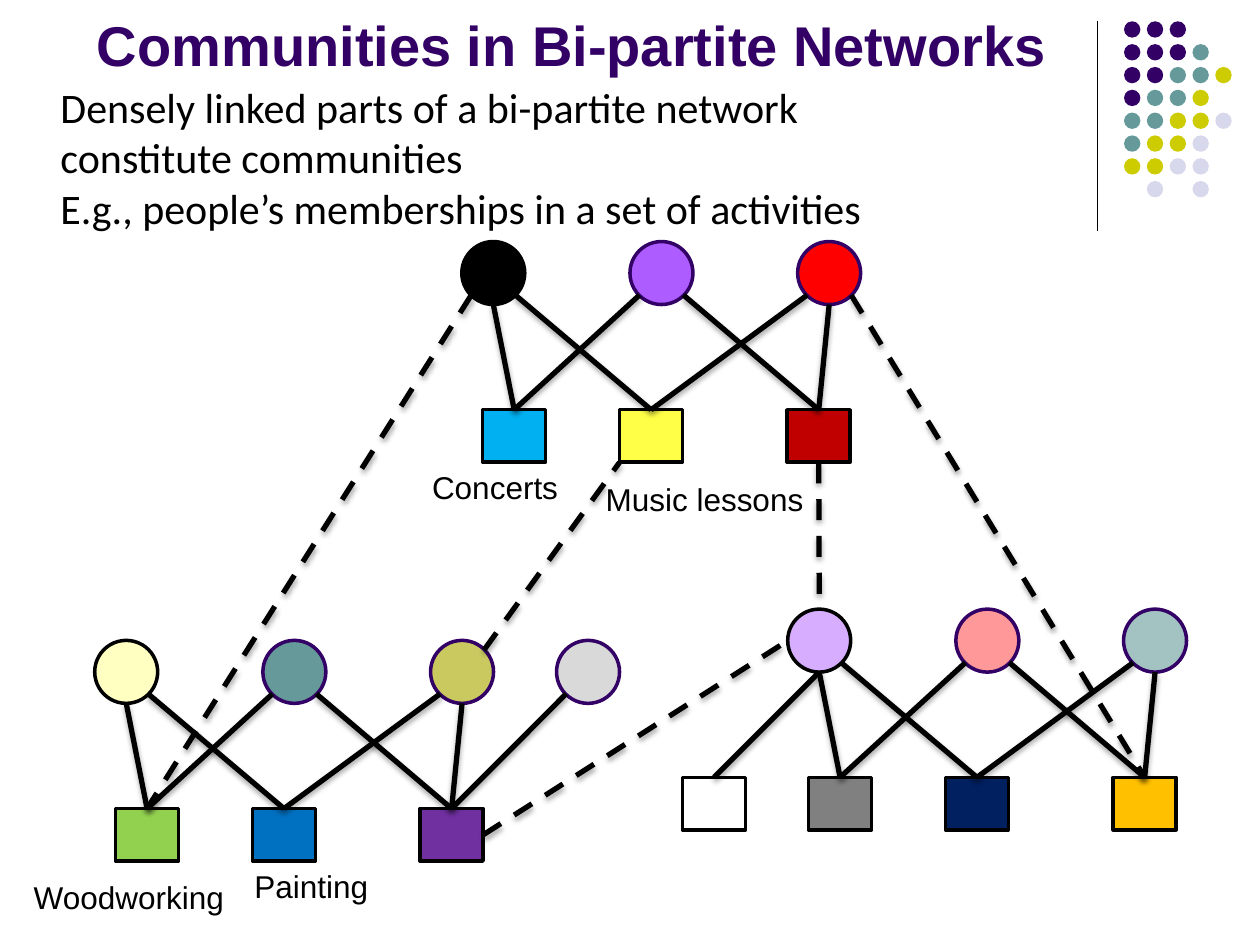
from dataclasses import dataclass
from typing import Optional

from lxml.etree import SubElement
from pptx import Presentation
from pptx.dml.color import RGBColor
from pptx.enum.dml import MSO_LINE
from pptx.enum.shapes import MSO_CONNECTOR, MSO_SHAPE
from pptx.enum.text import MSO_ANCHOR, PP_ALIGN
from pptx.oxml.ns import qn
from pptx.util import Cm, Pt


@dataclass(frozen=True)
class Theme:
    """Colours, fonts and sizes used on the slide."""
    ink: str = "000000"
    accent: str = "330066"
    heading_font: str = "Arial"
    body_font: str = "Calibri"
    title_size: int = 32
    body_size: int = 24
    label_size: int = 18
    outline: float = 2
    edge: float = 3
    rule: float = 0.75


THEME = Theme()
DOT_COLOURS = {"P": "330066", "T": "669999", "Y": "CCCC00", "L": "D8D8EC"}
DOT_ROWS = ["PPP", "PPPT", "PPTTY", "PTTY", "TTYYL", "TYYL", "YYLL", " L L"]
DOT_SIZE, DOT_PITCH = 0.33, 0.46
CIRCLE_SIZE, SQUARE_WIDTH, SQUARE_HEIGHT = 1.27, 1.27, 1.06
CIRCLE_STEPS = (0, 3.39, 6.77)
SQUARE_STEPS = (0.42, 3.18, 6.56)
SQUARE_DROP = 3.39
# Fractions of a node's width and height where edges attach
TOP, BOTTOM, LEFT, RIGHT = (0.5, 0), (0.5, 1), (0, 0.5), (1, 0.5)
LOWER_LEFT, LOWER_RIGHT, UPPER_RIGHT = (0.15, 0.85), (0.85, 0.85), (0.85, 0.15)
CORNER = (0, 1)


@dataclass(frozen=True)
class Node:
    """A person (circle) or an activity (square), in centimetres."""
    left: float
    top: float
    fill: Optional[str]
    line: str = THEME.ink
    person: bool = False

    def site(self, place: tuple) -> tuple:
        """Return the point at a fraction of the node's size."""
        width = CIRCLE_SIZE if self.person else SQUARE_WIDTH
        height = CIRCLE_SIZE if self.person else SQUARE_HEIGHT
        return self.left + width * place[0], self.top + height * place[1]


@dataclass(frozen=True)
class Community:
    """Three people above the three activities they share."""
    left: float
    top: float
    people_fills: tuple
    activity_fills: tuple

    def people(self) -> list:
        """Return the circles; the first has a black outline."""
        return [Node(self.left + step, self.top, fill, THEME.accent if index else THEME.ink, True)
                for index, (step, fill) in enumerate(zip(CIRCLE_STEPS, self.people_fills))]

    def activities(self) -> list:
        """Return the squares, left to right."""
        return [Node(self.left + step, self.top + SQUARE_DROP, fill)
                for step, fill in zip(SQUARE_STEPS, self.activity_fills)]


@dataclass(frozen=True)
class Caption:
    """Lines of text in a box, in centimetres."""
    left: float
    top: float
    width: float
    height: float
    lines: tuple
    font: str = THEME.heading_font
    size: int = THEME.label_size


MUSIC = Community(9.31, 4.87, ("000000", "AD5CFF", "FF0000"), ("00B0F0", "FFFF47", "C00000"))
CRAFTS = Community(1.91, 12.91, ("FFFFC2", "669999", "C9C960"), ("92D050", "0070C0", "7030A0"))
OTHERS = Community(15.88, 12.28, ("D6ADFF", "FF9999", "A3C2C2"), ("808080", "002060", "FFC000"))
GUEST = Node(11.22, 12.91, "D9D9D9", THEME.accent, True)
SPARE = Node(13.76, 15.67, None)
# Person, place on the circle, activity
MEMBERSHIPS = [(0, BOTTOM, 0), (1, LOWER_LEFT, 0), (0, LOWER_RIGHT, 1),
               (2, LOWER_LEFT, 1), (1, LOWER_RIGHT, 2), (2, BOTTOM, 2)]
CAPTIONS = [
    Caption(0.97, 1.52, 16.81, 3.33,
            ("Densely linked parts of a bi-partite network ", "constitute communities",
             "E.g., people’s memberships in a set of activities"),
            THEME.body_font, THEME.body_size),
    Caption(8.46, 9.31, 3.07, 1.02, ("Concerts",)),
    Caption(11.96, 9.55, 4.55, 1.02, ("Music lessons",)),
    Caption(0.43, 17.57, 4.39, 1.02, ("Woodworking",)),
    Caption(4.88, 17.35, 2.82, 1.02, ("Painting",)),
]


def add_span(para, text: str, font: str, size: int, colour: str, bold: bool = False) -> None:
    """Add one formatted run to a paragraph."""
    span = para.add_run()
    span.text = text
    span.font.name, span.font.size, span.font.bold = font, Pt(size), bold
    span.font.color.rgb = RGBColor.from_string(colour)


def draw_shape(page, kind, left: float, top: float, width: float, height: float,
               fill: Optional[str], line: Optional[str] = None) -> None:
    """Draw a flat preset shape with an optional fill and outline."""
    shape = page.shapes.add_shape(kind, Cm(left), Cm(top), Cm(width), Cm(height))
    shape.shadow.inherit = False
    if fill:
        shape.fill.solid()
        shape.fill.fore_color.rgb = RGBColor.from_string(fill)
    else:
        shape.fill.background()
    if line:
        shape.line.color.rgb = RGBColor.from_string(line)
        shape.line.width = Pt(THEME.outline)
    else:
        shape.line.fill.background()


def draw_node(page, node: Node) -> None:
    """Draw a person or an activity."""
    kind = MSO_SHAPE.OVAL if node.person else MSO_SHAPE.RECTANGLE
    height = CIRCLE_SIZE if node.person else SQUARE_HEIGHT
    draw_shape(page, kind, node.left, node.top, SQUARE_WIDTH, height, node.fill, node.line)


def draw_line(page, start: tuple, end: tuple, width: float = THEME.edge,
              dashed: bool = False, shadow: bool = True) -> None:
    """Draw a straight line, with a soft shadow below it if wanted."""
    line = page.shapes.add_connector(MSO_CONNECTOR.STRAIGHT, *(Cm(v) for v in start + end))
    line.line.color.rgb = RGBColor.from_string(THEME.ink)
    line.line.width = Pt(width)
    if dashed:
        line.line.dash_style = MSO_LINE.DASH
    effects = SubElement(line._element.spPr, qn("a:effectLst"))
    if shadow:
        outer = SubElement(effects, qn("a:outerShdw"), blurRad=str(Pt(3.1)), dist=str(Pt(1.8)),
                           dir="5400000", rotWithShape="0")
        colour = SubElement(outer, qn("a:srgbClr"), val=THEME.ink)
        SubElement(colour, qn("a:alpha"), val="35000")


def draw_community(page, community: Community) -> None:
    """Draw the people, activities and memberships of a community."""
    people, activities = community.people(), community.activities()
    for node in people + activities:
        draw_node(page, node)
    for person, place, activity in MEMBERSHIPS:
        draw_line(page, people[person].site(place), activities[activity].site(TOP))


def draw_caption(page, caption: Caption) -> None:
    """Draw a text box with one paragraph for each line."""
    box = page.shapes.add_textbox(Cm(caption.left), Cm(caption.top),
                                  Cm(caption.width), Cm(caption.height))
    frame = box.text_frame
    frame.word_wrap = False
    for index, text in enumerate(caption.lines):
        para = frame.add_paragraph() if index else frame.paragraphs[0]
        para.alignment = PP_ALIGN.LEFT
        add_span(para, text, caption.font, caption.size, THEME.ink)


def draw_title(page) -> None:
    """Place and format the title."""
    title = page.shapes.title
    title.left, title.top, title.width, title.height = Cm(1.7), Cm(-1.9), Cm(20.96), Cm(3.6)
    title.text_frame.vertical_anchor = MSO_ANCHOR.BOTTOM
    title.text_frame.word_wrap = True
    para = title.text_frame.paragraphs[0]
    para.alignment = PP_ALIGN.LEFT
    add_span(para, "Communities in Bi-partite Networks", THEME.heading_font,
             THEME.title_size, THEME.accent, True)


def draw_ornament(page) -> None:
    """Draw the vertical rule and the dots beside it."""
    draw_line(page, (22.12, 0.43), (22.12, 4.65), THEME.rule, shadow=False)
    for row, pattern in enumerate(DOT_ROWS):
        for column, key in enumerate(pattern):
            if key in DOT_COLOURS:
                draw_shape(page, MSO_SHAPE.OVAL, 22.66 + column * DOT_PITCH,
                           0.43 + row * DOT_PITCH, DOT_SIZE, DOT_SIZE, DOT_COLOURS[key])


def build() -> None:
    """Build the slide and save the deck."""
    deck = Presentation()
    deck.slide_width, deck.slide_height = Cm(25.4), Cm(19.05)
    page = deck.slides.add_slide(deck.slide_layouts[5])
    draw_ornament(page)
    draw_title(page)
    for community in (MUSIC, CRAFTS, OTHERS):
        draw_community(page, community)
    draw_node(page, GUEST)
    draw_node(page, SPARE)
    crafts_last, others_first = CRAFTS.activities()[2], OTHERS.people()[0]
    draw_line(page, GUEST.site(LOWER_LEFT), crafts_last.site(TOP))
    draw_line(page, SPARE.site(TOP), others_first.site(BOTTOM))
    for start, end in [
        (MUSIC.people()[0].site(LOWER_LEFT), CRAFTS.activities()[0].site(TOP)),
        (CRAFTS.people()[2].site(UPPER_RIGHT), MUSIC.activities()[1].site(CORNER)),
        (MUSIC.activities()[2].site(BOTTOM), others_first.site(TOP)),
        (MUSIC.people()[2].site(LOWER_RIGHT), OTHERS.activities()[2].site(TOP)),
        (crafts_last.site(RIGHT), others_first.site(LEFT)),
    ]:
        draw_line(page, start, end, dashed=True)
    for caption in CAPTIONS:
        draw_caption(page, caption)
    deck.save("out.pptx")


build()
